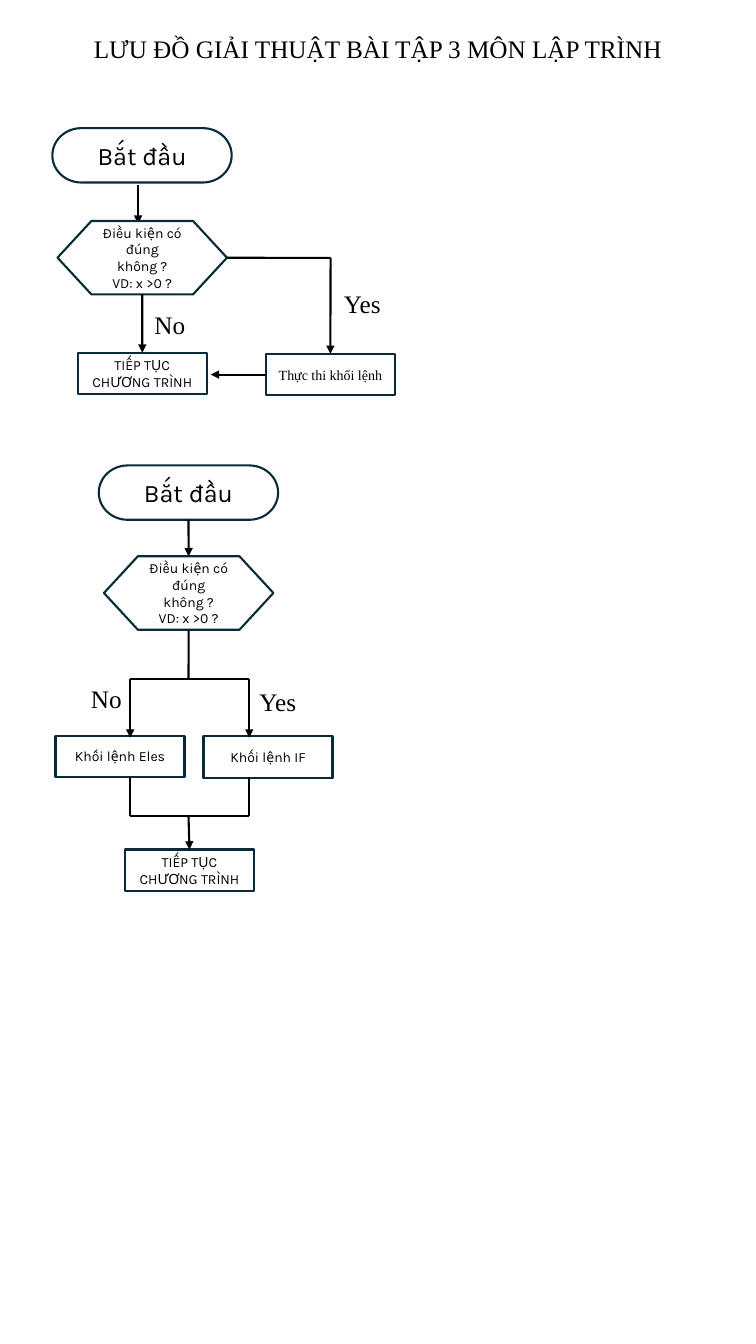
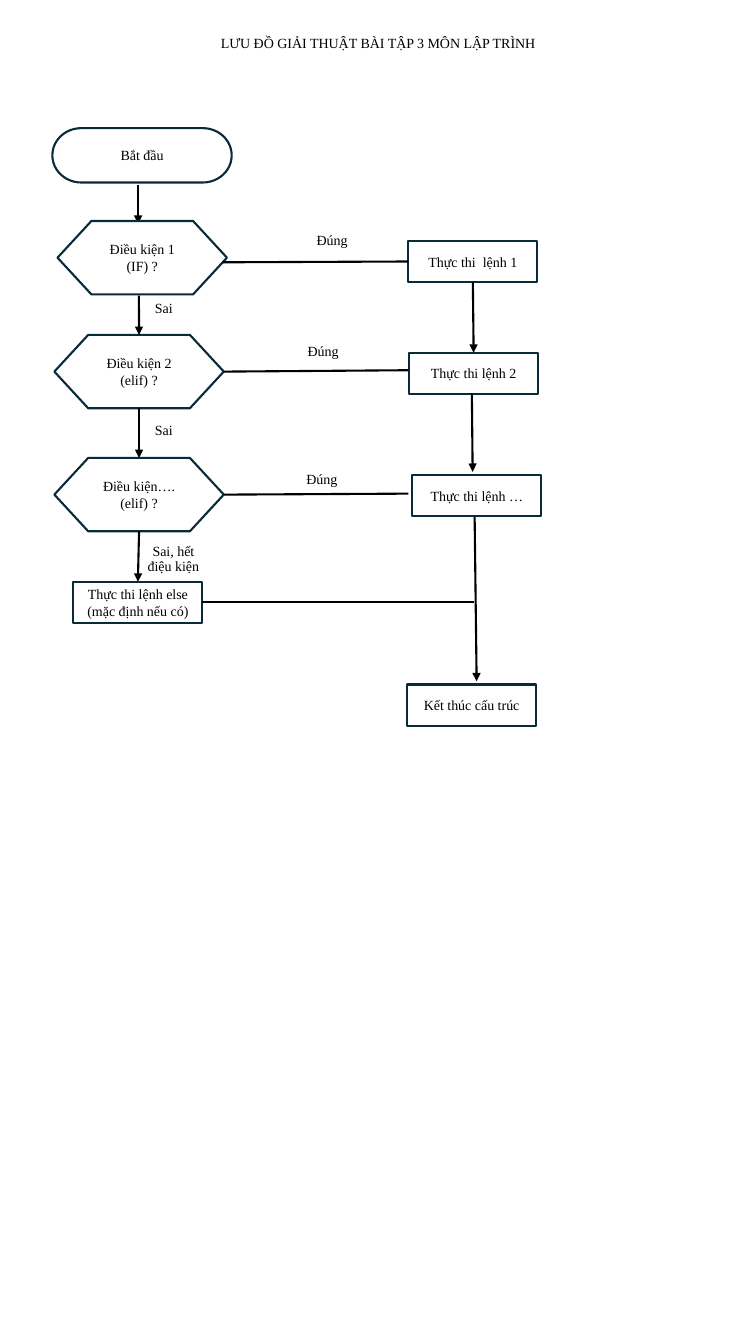
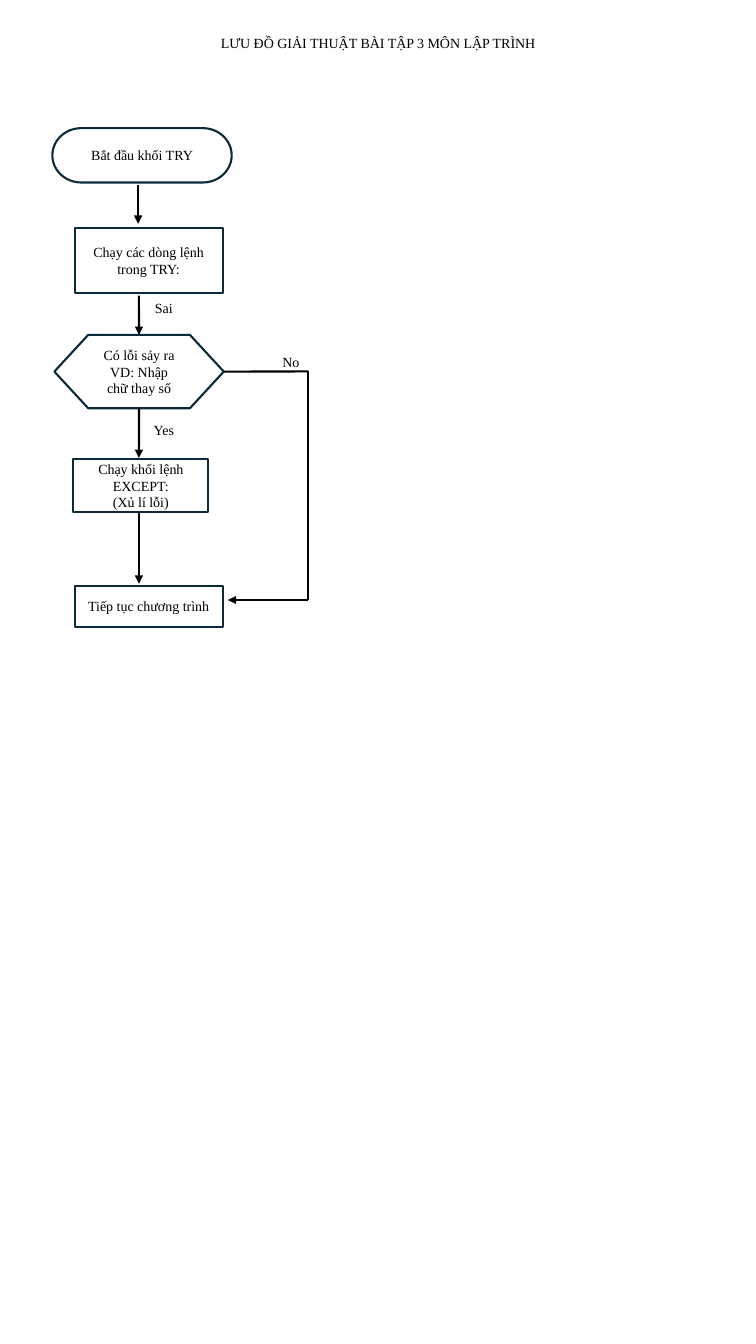
from lxml import etree
from pptx import Presentation
from pptx.dml.color import RGBColor
from pptx.enum.shapes import MSO_CONNECTOR, MSO_SHAPE
from pptx.enum.text import MSO_ANCHOR, PP_ALIGN
from pptx.oxml.ns import qn
from pptx.util import Cm, Pt

TERMINATOR = MSO_SHAPE.FLOWCHART_TERMINATOR
DECISION = MSO_SHAPE.FLOWCHART_PREPARATION
RECTANGLE = MSO_SHAPE.RECTANGLE
STRAIGHT = MSO_CONNECTOR.STRAIGHT
CENTER = PP_ALIGN.CENTER
MIDDLE = MSO_ANCHOR.MIDDLE
TOP, LEFT, BOTTOM, RIGHT = range(4)

COLORS = {"paper": "FFFFFF", "outline": "092A39", "ink": "000000"}
SERIF, SANS = "Times New Roman", "Karla"
SMALL, LARGE = 10, 18
LINE_WIDTH = Pt(1.5)
NODE_SIZES = {TERMINATOR: (4.52, 1.37), DECISION: (4.27, 1.85), RECTANGLE: (3.25, 1.04)}
LABEL_SIZE = (1.6, 1.37)
TITLE = "LƯU ĐỒ GIẢI THUẬT BÀI TẬP 3 MÔN LẬP TRÌNH"
TITLE_BOX = (1.32, 0.79, 16.41, 1.37)
MAIN_BOX = (1.32, 3.23)
SECOND_BOX = (1.4, 11.73)
MAIN_AXIS = 2.18


def color(name):
    return RGBColor.from_string(COLORS[name])


def write(shape, lines, font, size, spacing=None):
    frame = shape.text_frame
    frame.word_wrap = True
    for index, line in enumerate(lines):
        para = frame.paragraphs[0] if index == 0 else frame.add_paragraph()
        para.alignment = CENTER
        if spacing:
            para.line_spacing = spacing
        span = para.add_run()
        span.text = line
        span.font.name = font
        span.font.size = Pt(size)
        span.font.color.rgb = color("ink")


def add_page(deck, title_size):
    page = deck.slides.add_slide(deck.slide_layouts[6])
    page.background.fill.solid()
    page.background.fill.fore_color.rgb = color("paper")
    title = page.shapes.add_textbox(*map(Cm, TITLE_BOX))
    write(title, [TITLE], SERIF, title_size, 0.9)
    return page


class Flow:
    def __init__(self, page, box, font=SERIF, label_size=SMALL):
        self.shapes = page.shapes
        self.left, self.top = box
        self.font = font
        self.label_size = label_size

    def point(self, x, y):
        return Cm(self.left + x), Cm(self.top + y)

    def node(self, kind, x, y, *lines, extent=None, font=None, size=SMALL):
        width, height = extent or NODE_SIZES[kind]
        shape = self.shapes.add_shape(kind, *self.point(x, y), Cm(width), Cm(height))
        shape.shadow.inherit = False
        shape.fill.solid()
        shape.fill.fore_color.rgb = color("paper")
        shape.line.color.rgb = color("outline")
        shape.line.width = LINE_WIDTH
        shape.text_frame.vertical_anchor = MIDDLE
        write(shape, lines, font or self.font, size)
        return shape

    def label(self, x, y, text, width=LABEL_SIZE[0]):
        box = self.shapes.add_textbox(*self.point(x, y), Cm(width), Cm(LABEL_SIZE[1]))
        write(box, [text], SERIF, self.label_size, 0.9)

    def link(self, begin, end, arrow=False):
        joined = [hasattr(place[0], "shape_id") for place in (begin, end)]
        places = [(0, 0) if join else self.point(*place)
                  for join, place in zip(joined, (begin, end))]
        line = self.shapes.add_connector(STRAIGHT, *places[0], *places[1])
        if joined[0]:
            line.begin_connect(*begin)
        if joined[1]:
            line.end_connect(*end)
        line.line.color.rgb = color("ink")
        line.line.width = LINE_WIDTH
        if arrow:
            tail = etree.SubElement(line.line._get_or_add_ln(), qn("a:tailEnd"))
            tail.set("type", "triangle")
        etree.SubElement(line._element.spPr, qn("a:effectLst"))

    def arrow(self, begin, end):
        self.link(begin, end, True)

    def start(self, text, size=SMALL):
        self.node(TERMINATOR, 0, 0, text, size=size)
        self.arrow((2.16, 1.42), (2.16, 2.41))


CONDITION = ("Điều kiện có đúng không ?", "VD: x >0 ?")
CONTINUE = "TIẾP TỤC CHƯƠNG TRÌNH"


def draw_if(page, box):
    flow = Flow(page, box, SANS, LARGE)
    flow.start("Bắt đầu", LARGE)
    condition = flow.node(DECISION, 0.13, 2.34, *CONDITION)
    proceed = flow.node(RECTANGLE, 0.64, 5.66, CONTINUE)
    execute = flow.node(RECTANGLE, 5.38, 5.69, "Thực thi khối lệnh", font=SERIF)
    corner = (7.01, 3.27)
    flow.link((condition, RIGHT), corner)
    flow.arrow(corner, (execute, TOP))
    flow.arrow((condition, BOTTOM), (proceed, TOP))
    flow.arrow((execute, LEFT), (3.99, 6.21))
    flow.label(2.16, 4.52, "No")
    flow.label(7.01, 4.01, "Yes")


def draw_if_else(page, box):
    flow = Flow(page, box, SANS, LARGE)
    axis, split, merge = 3.35, 5.38, 8.84
    branches = (1.88, 4.88)
    start = flow.node(TERMINATOR, 1.09, 0, "Bắt đầu", size=LARGE)
    condition = flow.node(DECISION, 1.22, 2.29, *CONDITION)
    flow.node(RECTANGLE, 3.73, 6.83, "Khối lệnh IF")
    flow.node(RECTANGLE, 0, 6.81, "Khối lệnh Eles")
    proceed = flow.node(RECTANGLE, 1.75, 9.68, CONTINUE)
    flow.arrow((start, BOTTOM), (condition, TOP))
    flow.link((condition, BOTTOM), (axis, split))
    for level in (split, merge):
        flow.link((branches[0], level), (branches[1], level))
    for branch in branches:
        flow.arrow((branch, split), (branch, 6.86))
        flow.link((branch, 7.85), (branch, merge))
    flow.arrow((axis, merge), (proceed, TOP))
    flow.label(0.48, 5.46, "No")
    flow.label(4.8, 5.54, "Yes")


def draw_elif(page, box):
    flow = Flow(page, box)
    flow.start("Bắt đầu")
    flow.node(DECISION, 0.13, 2.34, "Điều kiện 1 (IF) ?")
    second = flow.node(DECISION, 0.05, 5.21, "Điều kiện 2 (elif) ?")
    third = flow.node(DECISION, 0.05, 8.31, "Điều kiện…. (elif) ?")
    default = flow.node(RECTANGLE, 0.53, 11.43, "Thực thi lệnh else (mặc định nếu có)")
    first_run = flow.node(RECTANGLE, 8.97, 2.84, "Thực thi  lệnh 1")
    second_run = flow.node(RECTANGLE, 8.99, 5.66, "Thực thi lệnh 2")
    flow.node(RECTANGLE, 9.07, 8.74, "Thực thi lệnh …")
    flow.node(RECTANGLE, 8.94, 14.02, "Kết thúc cấu trúc")
    flow.arrow((MAIN_AXIS, 4.22), (second, TOP))
    flow.arrow((second, BOTTOM), (third, TOP))
    flow.arrow((third, BOTTOM), (default, TOP))
    flow.link((4.29, 3.38), (first_run, LEFT))
    flow.link((second, RIGHT), (8.97, 6.1))
    flow.link((third, RIGHT), (8.97, 9.21))
    flow.link((default, RIGHT), (10.62, 11.95))
    flow.arrow((first_run, BOTTOM), (second_run, TOP))
    flow.arrow((10.57, 6.68), (10.59, 8.66))
    flow.arrow((10.64, 9.8), (10.69, 13.94))
    for y in (4.24, 7.32):
        flow.label(2.01, y, "Sai")
    flow.label(2.01, 10.36, "Sai, hết điệu kiện", 2.08)
    for x, y in ((6.25, 2.54), (6.02, 5.33), (5.99, 8.56)):
        flow.label(x, y, "Đúng")


def draw_try(page, box):
    flow = Flow(page, box)
    flow.start("Bắt đầu khối TRY")
    flow.node(RECTANGLE, 0.56, 2.51, "Chạy các dòng lệnh trong TRY:", extent=(3.73, 1.65))
    check = flow.node(DECISION, 0.05, 5.21, "Có lỗi sảy ra", "VD: Nhập chữ thay số")
    flow.node(RECTANGLE, 0.53, 8.33, "Chạy khối lệnh EXCEPT:", "(Xủ lí lỗi)",
              extent=(3.4, 1.35))
    flow.node(RECTANGLE, 0.56, 11.53, "Tiếp tục chương trình", extent=(3.73, 1.04))
    flow.arrow((MAIN_AXIS, 4.22), (check, TOP))
    flow.arrow((check, BOTTOM), (MAIN_AXIS, 8.31))
    flow.arrow((MAIN_AXIS, 9.7), (MAIN_AXIS, 11.48))
    upper, lower = (6.45, 6.13), (6.45, 11.89)
    flow.link((check, RIGHT), upper)
    flow.link(upper, lower)
    flow.arrow(lower, (4.42, 11.89))
    flow.label(2.01, 4.24, "Sai")
    flow.label(2.01, 7.32, "Yes")
    flow.label(5.21, 5.61, "No")


def main():
    deck = Presentation()
    deck.slide_width, deck.slide_height = Cm(19.05), Cm(33.87)
    page = add_page(deck, LARGE)
    draw_if(page, MAIN_BOX)
    draw_if_else(page, SECOND_BOX)
    draw_elif(add_page(deck, SMALL), MAIN_BOX)
    draw_try(add_page(deck, SMALL), MAIN_BOX)
    deck.save("out.pptx")


if __name__ == "__main__":
    main()
